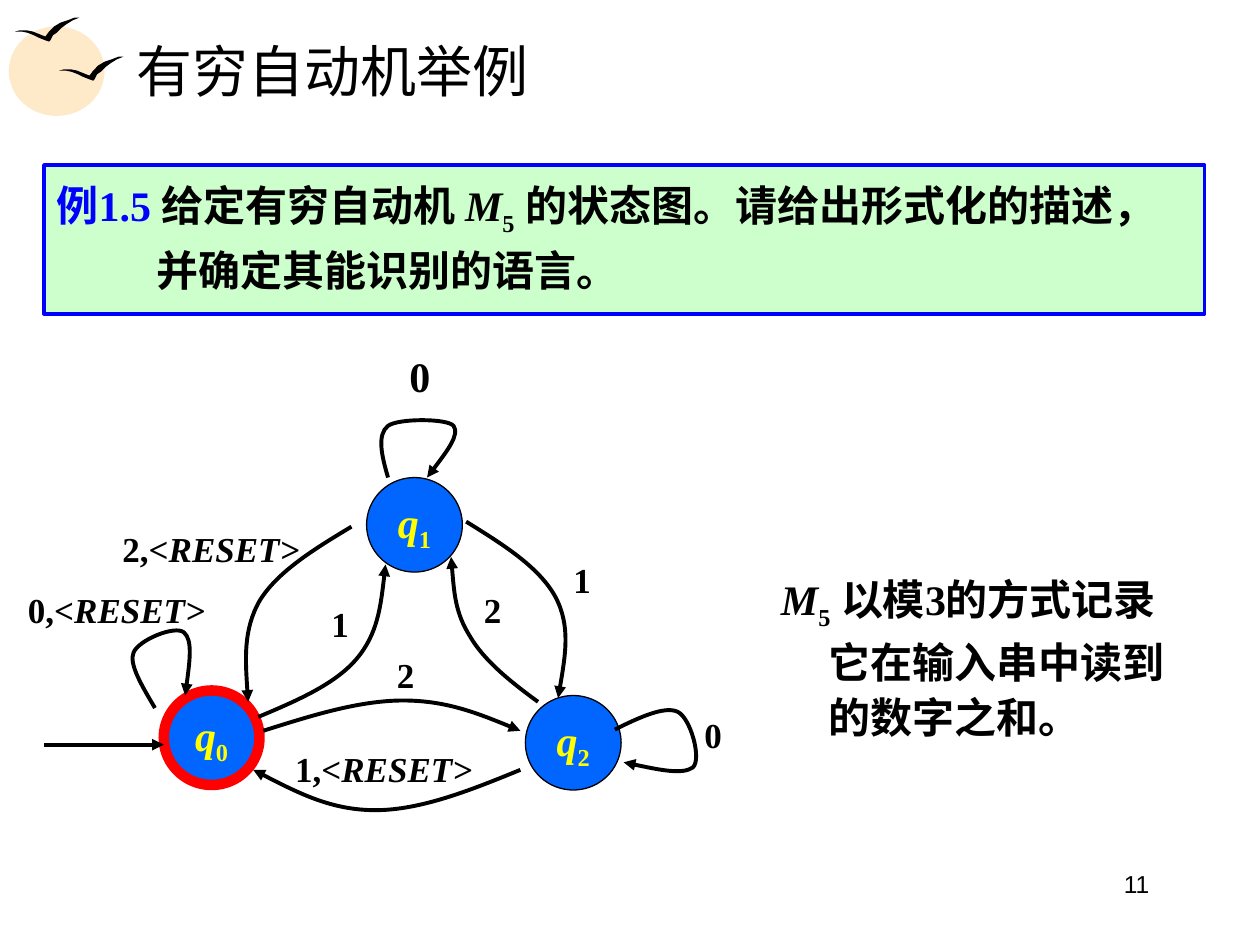
from dataclasses import dataclass

from lxml import etree
from pptx import Presentation
from pptx.dml.color import RGBColor
from pptx.enum.shapes import MSO_CONNECTOR, MSO_SHAPE
from pptx.enum.text import MSO_ANCHOR, PP_ALIGN
from pptx.oxml.ns import qn
from pptx.util import Inches, Pt

OVAL, RECTANGLE = MSO_SHAPE.OVAL, MSO_SHAPE.RECTANGLE
STRAIGHT = MSO_CONNECTOR.STRAIGHT
TOP, MIDDLE = MSO_ANCHOR.TOP, MSO_ANCHOR.MIDDLE
LEFT, CENTER, RIGHT = PP_ALIGN.LEFT, PP_ALIGN.CENTER, PP_ALIGN.RIGHT

COLORS = {
    "ink": "000000", "sun": "FEE9C8", "panel": "CCFFCC", "blue": "0000FF",
    "state": "0066FF", "accept": "FF0000", "state_text": "FFFF00",
}
SERIF, SANS = "Times New Roman", "Arial"
STATE_WIDTH, STATE_HEIGHT = 0.76, 0.75

Point = tuple[float, float]


@dataclass
class Span:
    text: str
    italic: bool = False
    sub: bool = False
    color: str | None = None


@dataclass
class State:
    index: str
    left: float
    top: float
    outline: str = "ink"
    outline_width: float = 0.75


@dataclass
class Label:
    symbol: str
    left: float
    top: float
    reset: bool = False
    size: int = 20


STATES = [
    State("0", 1.3, 5.48, "accept", 6),
    State("1", 2.91, 3.79),
    State("2", 4.17, 5.52),
]

# Each transition: a start point, then three points per Bezier segment
TRANSITIONS: list[list[Point]] = [
    # q0 to q2, q2 to q0
    [(2.09, 5.8), (2.47, 5.68), (2.85, 5.56), (3.2, 5.56),
     (3.54, 5.56), (3.84, 5.68), (4.13, 5.8)],
    [(4.13, 6.11), (3.74, 6.27), (3.34, 6.43), (2.98, 6.43),
     (2.63, 6.43), (2.32, 6.27), (2.01, 6.11)],
    # q2 to q1, q1 to q2
    [(4.27, 5.57), (4.05, 5.41), (3.84, 5.24), (3.73, 5.05),
     (3.61, 4.86), (3.6, 4.64), (3.58, 4.42)],
    [(3.7, 4.14), (3.99, 4.32), (4.28, 4.5), (4.41, 4.74),
     (4.53, 4.97), (4.48, 5.25), (4.43, 5.54)],
    # q0 to q1, q1 to q0
    [(2.05, 5.69), (2.36, 5.56), (2.66, 5.43), (2.83, 5.23),
     (3, 5.03), (3.03, 4.75), (3.06, 4.48)],
    [(2.79, 4.18), (2.49, 4.36), (2.2, 4.54), (2.06, 4.77),
     (1.93, 5), (1.95, 5.29), (1.97, 5.57)],
    # Loops on q0, q1 and q2
    [(1.23, 5.62), (1.13, 5.45), (1.02, 5.27), (1.06, 5.18), (1.1, 5.08),
     (1.39, 4.96), (1.46, 5.02), (1.53, 5.08), (1.5, 5.3), (1.47, 5.52)],
    [(3.08, 3.79), (3.03, 3.62), (2.99, 3.45), (3.08, 3.38), (3.16, 3.32),
     (3.55, 3.32), (3.6, 3.38), (3.65, 3.45), (3.52, 3.62), (3.39, 3.79)],
    [(4.88, 5.79), (5.08, 5.69), (5.28, 5.6), (5.38, 5.65), (5.48, 5.7),
     (5.57, 6.02), (5.5, 6.09), (5.42, 6.15), (5.18, 6.1), (4.95, 6.05)],
]

LABELS = [
    Label("2", 3.05, 5.14), Label("2", 3.74, 4.62),
    Label("1", 4.45, 4.38), Label("1", 2.53, 4.73),
    Label("0", 5.49, 5.61), Label("0", 3.15, 2.73, size=24),
    Label("0,<", 0.12, 4.62, reset=True),
    Label("1,<", 2.24, 5.88, reset=True),
    Label("2,<", 0.87, 4.14, reset=True),
]

BIRD: list[Point] = [
    (0.12, 0.25), (0.16, 0.24), (0.21, 0.24), (0.26, 0.25), (0.31, 0.27),
    (0.36, 0.29), (0.39, 0.25), (0.43, 0.21), (0.48, 0.18), (0.54, 0.16),
    (0.59, 0.14), (0.63, 0.14), (0.58, 0.16), (0.53, 0.19), (0.49, 0.22),
    (0.45, 0.26), (0.42, 0.28), (0.4, 0.32), (0.39, 0.33), (0.36, 0.32),
    (0.31, 0.3), (0.27, 0.28), (0.22, 0.26), (0.17, 0.25),
]
BIRD_OFFSETS: list[Point] = [(0.35, 0.31), (0, 0)]


def rgb(name: str) -> RGBColor:
    return RGBColor.from_string(COLORS[name])


def write_text(frame, spans: list[Span], *, size=24, font=SERIF, color="ink",
               bold=True, align=LEFT, anchor=TOP, wrap=True, spacing=None,
               hanging=0.0) -> None:
    frame.word_wrap, frame.vertical_anchor = wrap, anchor
    paragraph = frame.paragraphs[0]
    paragraph.alignment = align
    if spacing:
        paragraph.line_spacing = spacing
    if hanging:
        properties = paragraph._p.get_or_add_pPr()
        properties.set("marL", str(Inches(hanging)))
        properties.set("indent", str(-Inches(hanging)))
    for span in spans:
        run = paragraph.add_run()
        run.text = span.text
        run.font.name, run.font.size = font, Pt(size)
        run.font.bold, run.font.italic = bold, span.italic
        run.font.color.rgb = rgb(span.color or color)
        if span.sub:
            run._r.get_or_add_rPr().set("baseline", "-25000")


def add_text(slide, box: tuple[float, ...], spans: list[Span], **style) -> None:
    textbox = slide.shapes.add_textbox(*map(Inches, box))
    write_text(textbox.text_frame, spans, **style)


def add_filled(slide, kind, box: tuple[float, ...], fill: str,
               outline: str | None = None, width: float = 0.75):
    shape = slide.shapes.add_shape(kind, *map(Inches, box))
    shape.shadow.inherit = False
    shape.fill.solid()
    shape.fill.fore_color.rgb = rgb(fill)
    if outline:
        shape.line.color.rgb, shape.line.width = rgb(outline), Pt(width)
    else:
        shape.line.fill.background()
    return shape


def trace(slide, points: list[Point], close: bool):
    start, *rest = [(Inches(x), Inches(y)) for x, y in points]
    builder = slide.shapes.build_freeform(*start)
    builder.add_line_segments(rest, close=close)
    shape = builder.convert_to_shape()
    shape.shadow.inherit = False
    return shape


def add_arrowhead(line) -> None:
    line.color.rgb, line.width = rgb("ink"), Pt(2.25)
    etree.SubElement(line._get_or_add_ln(), qn("a:tailEnd"), type="triangle")


def add_transition(slide, points: list[Point]) -> None:
    curve = trace(slide, points, close=False)
    curve.fill.background()
    # Every three line segments become one Bezier segment
    outline = next(curve._element.iter(qn("a:path")))
    segments = outline.findall(qn("a:lnTo"))
    for start in range(0, len(segments), 3):
        bezier = etree.SubElement(outline, qn("a:cubicBezTo"))
        for segment in segments[start:start + 3]:
            bezier.append(segment[0])
            outline.remove(segment)
    add_arrowhead(curve.line)


def add_state(slide, state: State) -> None:
    box = (state.left, state.top, STATE_WIDTH, STATE_HEIGHT)
    circle = add_filled(slide, OVAL, box, "state", state.outline, state.outline_width)
    write_text(circle.text_frame, [Span("q", italic=True), Span(state.index, sub=True)],
               color="state_text", align=CENTER, anchor=MIDDLE, wrap=False)


def add_label(slide, label: Label) -> None:
    spans = [Span(label.symbol)]
    if label.reset:
        spans.append(Span("RESET>", italic=True))
    box = (label.left, label.top, 1.61 if label.reset else 0.34, 0.44)
    add_text(slide, box, spans, size=label.size, align=CENTER, wrap=False)


def main() -> None:
    deck = Presentation()
    deck.slide_width, deck.slide_height = Inches(10), Inches(7.5)
    slide = deck.slides.add_slide(deck.slide_layouts[5])

    # Sun and birds
    add_filled(slide, OVAL, (0.07, 0.21, 0.76, 0.71), "sun")
    for dx, dy in BIRD_OFFSETS:
        bird = trace(slide, [(x + dx, y + dy) for x, y in BIRD], close=True)
        bird.fill.solid()
        bird.fill.fore_color.rgb = rgb("ink")
        bird.line.fill.background()

    # Title and page number
    title = slide.shapes.title
    title.left, title.top, title.width, title.height = map(Inches, (0.98, 0.21, 8.53, 0.69))
    write_text(title.text_frame, [Span("有穷自动机举例")], size=32, bold=False, anchor=MIDDLE)
    add_text(slide, (6.89, 6.85, 2.33, 0.52), [Span("11")], size=14, font=SANS,
             bold=False, align=RIGHT)

    # Example statement
    statement = add_filled(slide, RECTANGLE, (0.35, 1.31, 9.21, 1.18), "panel", "blue", 2.25)
    write_text(statement.text_frame, [
        Span("例1.5 ", color="blue"), Span("给定有穷自动机 "),
        Span("M", italic=True), Span("5", sub=True),
        Span(" 的状态图。请给出形式化的描述，并确定其能识别的语言。"),
    ], spacing=1.15, hanging=0.79)

    # State diagram
    for state in STATES:
        add_state(slide, state)
    entry = slide.shapes.add_connector(STRAIGHT, *map(Inches, (0.35, 5.91, 1.3, 5.91)))
    add_arrowhead(entry.line)
    etree.SubElement(entry._element.spPr, qn("a:effectLst"))
    for points in TRANSITIONS:
        add_transition(slide, points)
    for label in LABELS:
        add_label(slide, label)

    # Meaning of the automaton
    add_text(slide, (6.1, 4.46, 3.4, 1.81), [
        Span("M", italic=True), Span("5", sub=True),
        Span(" 以模3的方式记录它在输入串中读到的数字之和。"),
    ], spacing=1.1, hanging=0.38)

    deck.save("out.pptx")


if __name__ == "__main__":
    main()
